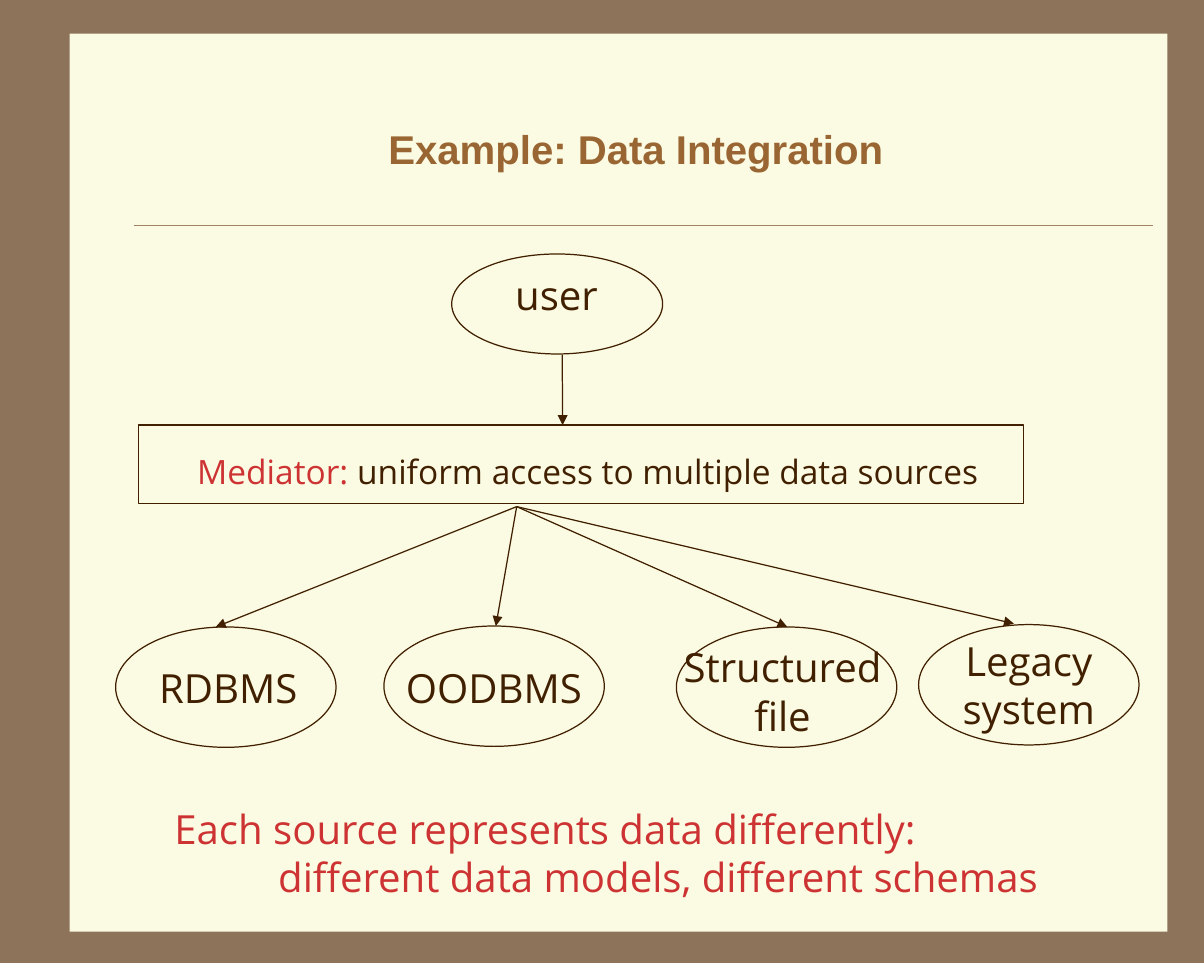
"""Build the data integration slide: a user, a mediator and four sources."""
from lxml import etree
from pptx import Presentation
from pptx.dml.color import RGBColor
from pptx.enum.shapes import MSO_CONNECTOR, MSO_SHAPE
from pptx.enum.text import MSO_ANCHOR, MSO_AUTO_SIZE, PP_ALIGN
from pptx.oxml.ns import qn
from pptx.util import Cm, Pt

RECT, OVAL = MSO_SHAPE.RECTANGLE, MSO_SHAPE.OVAL
STRAIGHT = MSO_CONNECTOR.STRAIGHT
LEFT, CENTER = PP_ALIGN.LEFT, PP_ALIGN.CENTER
MIDDLE = MSO_ANCHOR.MIDDLE
FIT, FIXED = MSO_AUTO_SIZE.SHAPE_TO_FIT_TEXT, MSO_AUTO_SIZE.NONE

FRAME, PAPER, RULE = "8C735A", "FBFAE2", "A08366"
BROWN, INK, RED = "996633", "402000", "CD3333"
SANS = "Open Sans"

TITLE = "Example: Data Integration"
TITLE_BOX = (2.62, 1.55, 21.59, 3.18)
PAGE_BOX = (1.47, 0.71, 23.16, 18.95)
RULE_ENDS = (2.82, 4.75, 24.33, 4.75)

USER_BOX = (9.53, 5.36, 4.45, 2.11)
USER_LABEL = ("user", (10.62, 5.59, 2.26, 1.27))
USER_ARROW = (11.86, 7.49, 11.87, 8.97)

MEDIATOR_BOX = (2.92, 8.97, 18.67, 1.65)
MEDIATOR = ("Mediator:", " uniform access to multiple data sources")
MEDIATOR_LABEL = (3.91, 9.4, 17.12, 1.12)

HUB = (10.9, 10.69)
OVAL_SIZE = (4.65, 2.54)
SOURCES = [
    ("RDBMS", (2.44, 13.23), (3.1, 13.87, 3.43, 1.27), (4.55, 13.23)),
    ("OODBMS", (8.1, 13.21), (8.31, 13.87, 4.22, 1.27), (10.46, 13.21)),
    ("Structured\nfile", (14.27, 13.23), (14.15, 13.44, 4.72, 2.29), (16.61, 13.23)),
    ("Legacy\nsystem", (19.38, 13.18), (20.04, 13.31, 3.33, 2.29), (21.39, 13.16)),
]

NOTE = ("Each source represents data differently:\n"
        "different data models, different schemas")
NOTE_BOX = (3.43, 16.84, 18.9, 2.29)
NOTE_INDENT = 2.19


def color(code):
    return RGBColor.from_string(code)


def lengths(values):
    return [Cm(value) for value in values]


def add_box(slide, kind, box, fill=None):
    shape = slide.shapes.add_shape(kind, *lengths(box))
    shape.shadow.inherit = False
    if fill:
        shape.fill.solid()
        shape.fill.fore_color.rgb = color(fill)
        shape.line.fill.background()
    else:
        shape.fill.background()
        shape.line.color.rgb = color(INK)
        shape.line.width = Pt(0.75)


def add_line(slide, ends, shade=INK, width=0.75, arrow=True):
    line = slide.shapes.add_connector(STRAIGHT, *lengths(ends))
    line.line.color.rgb = color(shade)
    line.line.width = Pt(width)
    if arrow:
        etree.SubElement(line.line._get_or_add_ln(), qn("a:tailEnd"), type="triangle")
    etree.SubElement(line._element.spPr, qn("a:effectLst"))


def style(font, size, shade, face=SANS, bold=False):
    font.name, font.size, font.bold = face, Pt(size), bold
    font.color.rgb = color(shade)


def add_text(slide, text, box, shade=INK, align=LEFT, size=24, face=SANS, bold=False):
    frame = slide.shapes.add_textbox(*lengths(box)).text_frame
    frame.text = text
    frame.word_wrap = False
    frame.auto_size = FIT
    for para in frame.paragraphs:
        para.alignment = align
        for run in para.runs:
            style(run.font, size, shade, face, bold)
    return frame


def main():
    prs = Presentation()
    prs.slide_width, prs.slide_height = Cm(25.4), Cm(20.32)
    slide = prs.slides.add_slide(prs.slide_layouts[6])
    slide.background.fill.solid()
    slide.background.fill.fore_color.rgb = color(FRAME)

    add_box(slide, RECT, PAGE_BOX, PAPER)
    add_line(slide, RULE_ENDS, RULE, 0.25, False)
    title = add_text(slide, TITLE, TITLE_BOX, BROWN, CENTER, 24, "Arial", True)
    title.auto_size, title.word_wrap = FIXED, True
    title.vertical_anchor = MIDDLE

    add_box(slide, RECT, MEDIATOR_BOX)
    name, role = MEDIATOR
    label = add_text(slide, name, MEDIATOR_LABEL, RED, size=20)
    run = label.paragraphs[0].add_run()
    run.text = role
    style(run.font, 20, INK)

    for text, corner, box, tip in SOURCES:
        add_box(slide, OVAL, corner + OVAL_SIZE)
        add_text(slide, text, box, align=CENTER)
        add_line(slide, HUB + tip)

    add_box(slide, OVAL, USER_BOX)
    add_text(slide, *USER_LABEL)
    add_line(slide, USER_ARROW)

    note = add_text(slide, NOTE, NOTE_BOX, RED)
    note.paragraphs[1]._p.get_or_add_pPr().set("marL", str(Cm(NOTE_INDENT)))
    prs.save("out.pptx")


if __name__ == "__main__":
    main()
